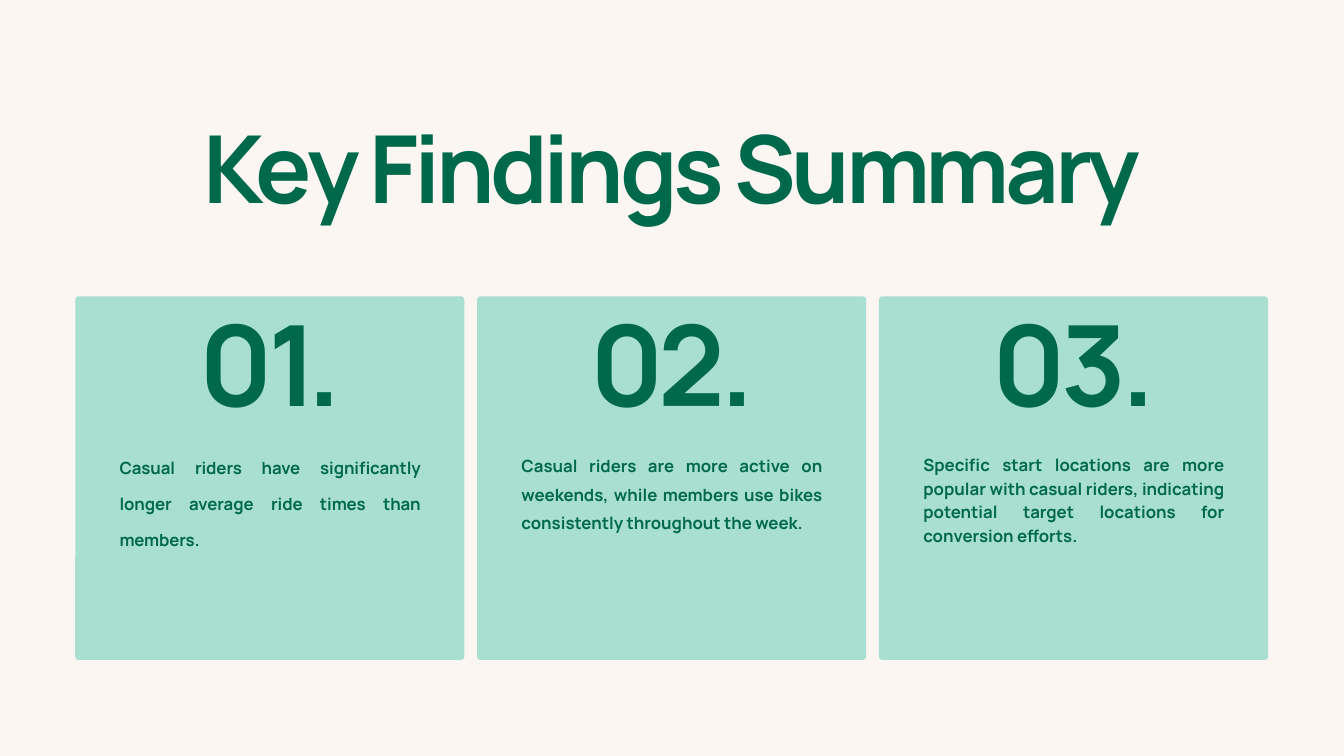
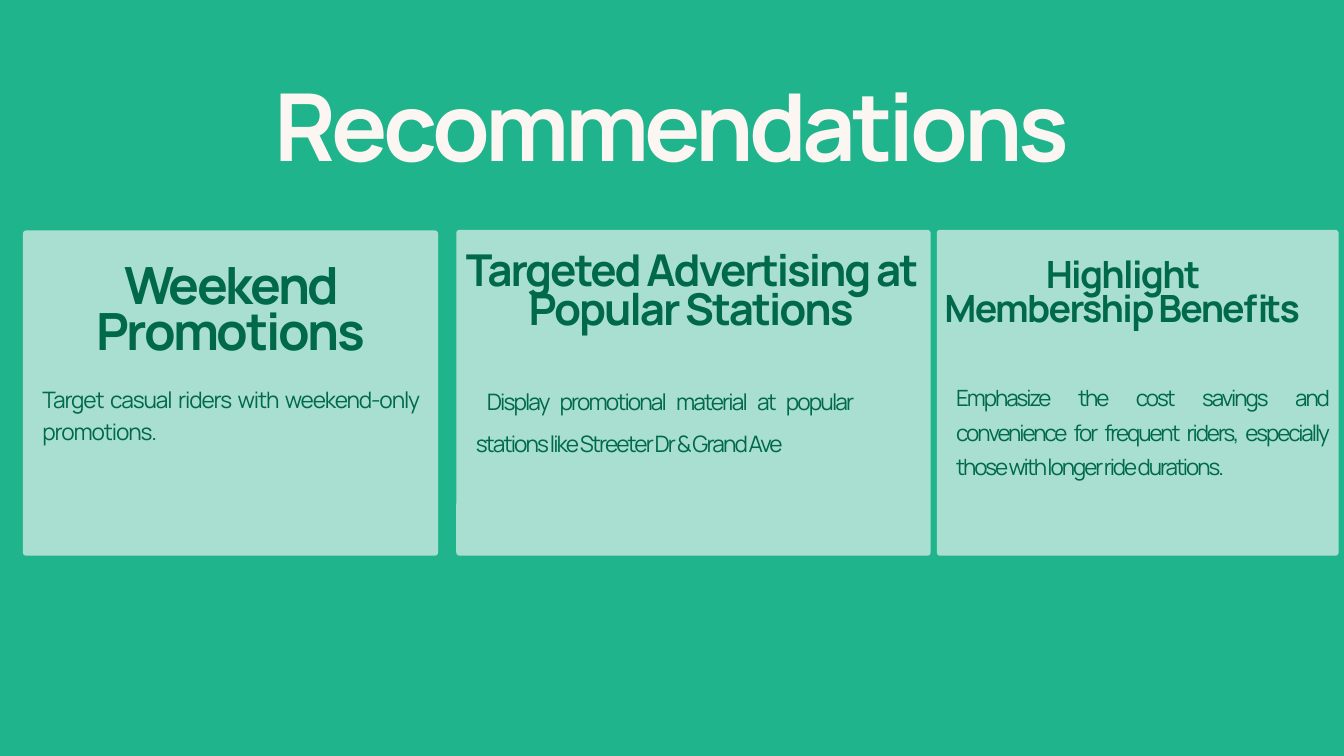
from pptx import Presentation, util as u
from pptx.dml.color import RGBColor
from pptx.enum import shapes, text

FONT = "Manrope"
CREAM, MINT, GREEN, DARK = "FBF6F1", "A9DFD0", "20B48C", "00694C"
CENTER, JUSTIFY = text.PP_ALIGN.CENTER, text.PP_ALIGN.JUSTIFY
CORNER = 0.05


def paint(fill, color):
    fill.solid()
    fill.fore_color.rgb = RGBColor.from_string(color)


def write(slide, box, words, size, leading, spacing, align=CENTER, bold=True, color=DARK):
    """Add a text box; leading and letter spacing are in points."""
    frame = slide.shapes.add_textbox(*map(u.Inches, box)).text_frame
    frame.margin_left = frame.margin_right = frame.margin_top = frame.margin_bottom = 0
    frame.word_wrap = True
    frame.auto_size = text.MSO_AUTO_SIZE.SHAPE_TO_FIT_TEXT
    paragraph = frame.paragraphs[0]
    paragraph.alignment = align
    paragraph.line_spacing = u.Pt(leading)
    run = paragraph.add_run()
    run.text = words
    run.font.name = FONT
    run.font.size = u.Pt(size)
    run.font.bold = bold
    paint(run.font.fill, color)
    run.font._element.set("spc", str(round(spacing * 100)))


prs = Presentation()
prs.slide_width, prs.slide_height = u.Inches(20), u.Inches(11.25)

# Per slide: background, title, title colour, title box, cards
pages = [
    (CREAM, "Key Findings Summary", DARK, (2.42, 2.05, 15.15, 1.37),
     [(1.12 + 5.98 * i, 4.41, 5.79, 5.41) for i in range(3)]),
    (GREEN, "Recommendations", CREAM, (1.23, 1.43, 17.54, 1.37),
     [(0.34, 3.43, 6.18, 4.84), (6.79, 3.42, 7.06, 4.85), (13.94, 3.42, 5.98, 4.85)]),
]
slides = []
for background, title, title_color, title_box, cards in pages:
    slide = prs.slides.add_slide(prs.slide_layouts[6])
    paint(slide.background.fill, background)
    write(slide, title_box, title, 100.4, 90.4, -4.6, color=title_color)
    for card_box in cards:
        card = slide.shapes.add_shape(shapes.MSO_SHAPE.ROUNDED_RECTANGLE,
                                      *map(u.Inches, card_box))
        card.adjustments[0] = CORNER / min(card_box[2:])
        card.shadow.inherit = False
        card.line.fill.background()
        paint(card.fill, MINT)
    slides.append(slide)
findings_slide, advice_slide = slides

# Key findings: top, height, leading, letter spacing, wording
findings = [
    (6.58, 1.55, 38.5, -0.1,
     "Casual riders have significantly longer average ride times than members."),
    (6.67, 1.65, 30.1, 0,
     "Casual riders are more active on weekends, while members use bikes "
     "consistently throughout the week."),
    (6.72, 1.72, 25.2, 0,
     "Specific start locations are more popular with casual riders, indicating "
     "potential target locations for conversion efforts."),
]
for i, (top, height, leading, spacing, finding) in enumerate(findings):
    left = 5.98 * i
    write(findings_slide, (2.7 + left, 4.89, 2.65, 1.64), f"0{i + 1}.", 120, 108, -5.5)
    write(findings_slide, (1.78 + left, top, 4.48, height), finding, 18, leading, spacing, JUSTIFY)

# Recommendations: box, wording, size, leading and letter spacing of heading and detail
recommendations = [
    ((1.04, 4, 4.78, 1.45), "Weekend Promotions", 55, 49.5, -2.5,
     (0.63, 5.68, 5.61, 1.41), "Target casual riders with weekend-only promotions.",
     24.3, 34, -1.2),
    ((6.52, 3.8, 7.53, 1.81), "Targeted Advertising at Popular Stations", 47, 42.3, -2.2,
     (7.08, 5.56, 5.61, 1.81),
     " Display promotional material at popular stations like Streeter Dr & Grand Ave",
     24.3, 44.5, -2),
    ((14.05, 3.9, 5.3, 1.55), "Highlight Membership Benefits", 40.2, 36.2, -1.8,
     (14.23, 5.6, 5.53, 2.03),
     "Emphasize the cost savings and convenience for frequent riders, especially "
     "those with longer ride durations.",
     24, 37.2, -2.2),
]
for recommendation in recommendations:
    heading, detail = recommendation[:5], recommendation[5:]
    write(advice_slide, *heading)
    write(advice_slide, *detail, align=JUSTIFY, bold=False)

prs.save("out.pptx")
